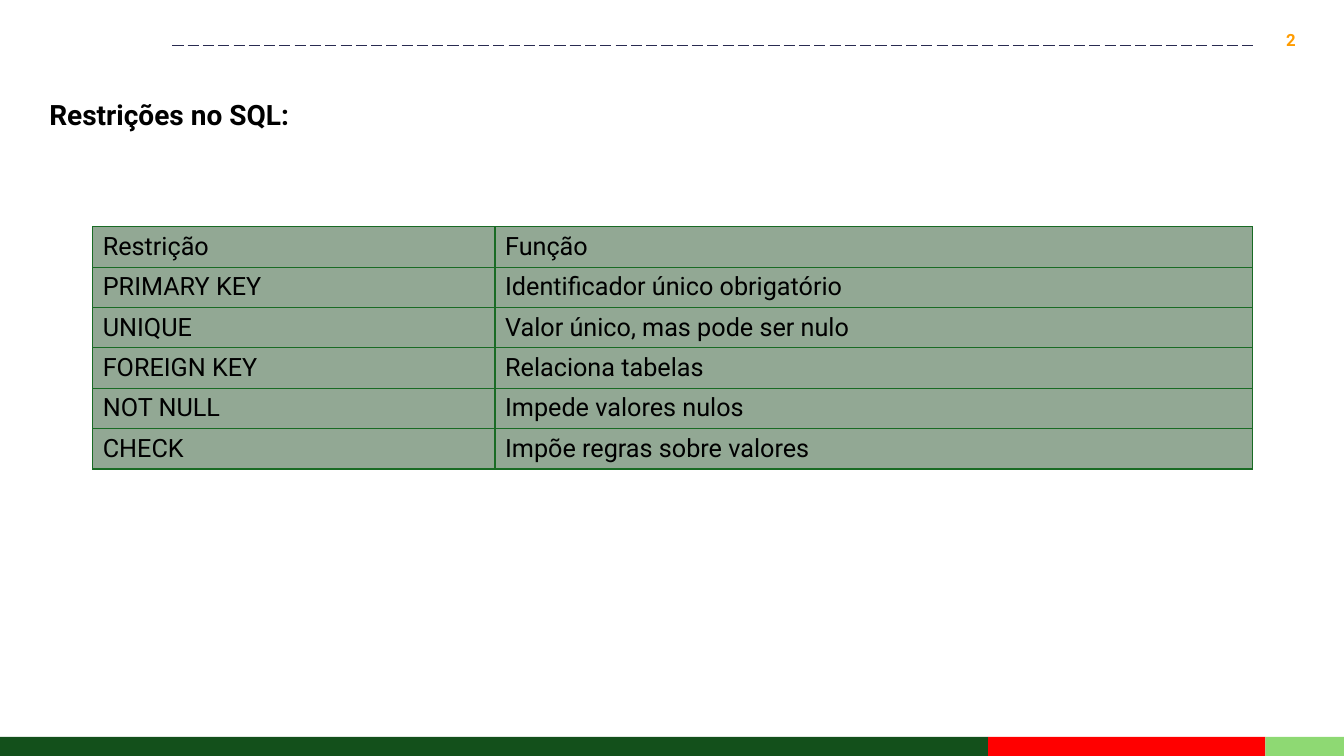
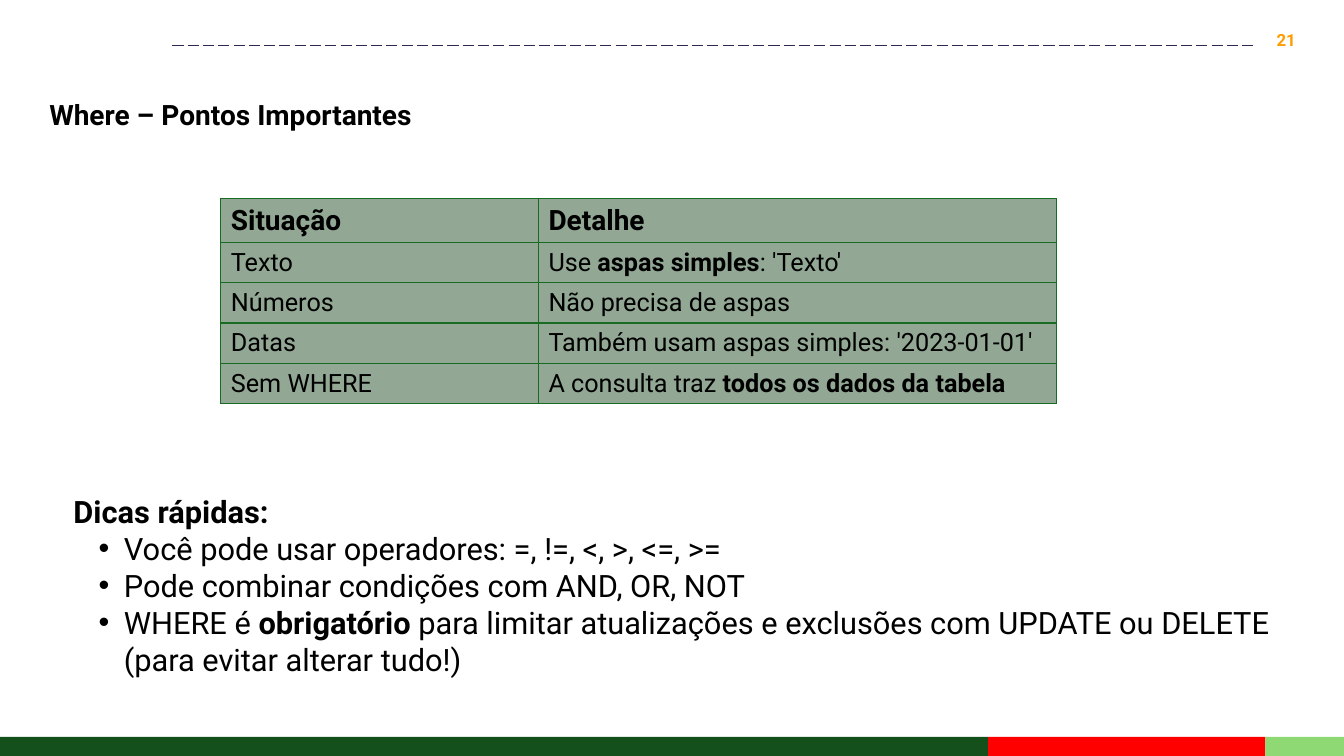
from lxml import etree
from pptx import Presentation
from pptx.dml.color import RGBColor
from pptx.enum.dml import MSO_LINE
from pptx.enum.shapes import MSO_CONNECTOR, MSO_SHAPE
from pptx.enum.text import MSO_ANCHOR, PP_ALIGN
from pptx.oxml.ns import qn
from pptx.util import Inches, Pt

RECT, STRAIGHT = MSO_SHAPE.RECTANGLE, MSO_CONNECTOR.STRAIGHT
LONG_DASH, MIDDLE, RIGHT = MSO_LINE.LONG_DASH, MSO_ANCHOR.MIDDLE, PP_ALIGN.RIGHT

FONT = "Roboto"
BLACK = RGBColor(0x00, 0x00, 0x00)
ORANGE = RGBColor(0xFF, 0x9C, 0x00)
NAVY = RGBColor(0x29, 0x2B, 0x51)
DARK_GREEN = RGBColor(0x13, 0x50, 0x1B)
RED = RGBColor(0xFF, 0x00, 0x00)
LIGHT_GREEN = RGBColor(0x8E, 0xD9, 0x73)
BORDER_GREEN = RGBColor(0x19, 0x6B, 0x24)
CELL_GREEN = RGBColor(0x92, 0xA8, 0x94)

SLIDE_W, SLIDE_H = 13.33, 7.5
BAND_H = 0.19
BANDS = [(9.8, DARK_GREEN), (2.75, RED), (0.78, LIGHT_GREEN)]
ROW_H, BOLD_ROW_H = 0.4, 0.43

# Text between ** marks is bold.
SLIDES = [
    {
        "number": "2",
        "title": "Restrições no SQL:",
        "table": {
            "at": (0.92, 2.25),
            "cols": (3.99, 7.51),
            "rows": [
                ("Restrição", "Função"),
                ("PRIMARY KEY", "Identificador único obrigatório"),
                ("UNIQUE", "Valor único, mas pode ser nulo"),
                ("FOREIGN KEY", "Relaciona tabelas"),
                ("NOT NULL", "Impede valores nulos"),
                ("CHECK", "Impõe regras sobre valores"),
            ],
        },
    },
    {
        "number": "21",
        "title": "Where – Pontos Importantes",
        "table": {
            "at": (2.19, 1.97),
            "cols": (3.15, 5.14),
            "bold_header": True,
            "rows": [
                ("Situação", "Detalhe"),
                ("Texto", "Use **aspas simples**: 'Texto'"),
                ("Números", "Não precisa de aspas"),
                ("Datas", "Também usam aspas simples: '2023-01-01'"),
                ("Sem WHERE", "A consulta traz **todos os dados da tabela**"),
            ],
        },
        "tips": {
            "heading": "Dicas rápidas:",
            "bullets": [
                "Você pode usar operadores: =, !=, <, >, <=, >=",
                "Pode combinar condições com AND, OR, NOT",
                "WHERE é **obrigatório** para limitar atualizações e exclusões "
                "com UPDATE ou DELETE (para evitar alterar tudo!)",
            ],
        },
    },
]


def write(p, text, size, color=BLACK, bold=False):
    """Fill a paragraph, turning **marked** parts bold."""
    for i, part in enumerate(text.split("**")):
        if part:
            r = p.add_run()
            r.text = part
            r.font.name, r.font.size = FONT, Pt(size)
            r.font.bold = bold or i % 2 == 1
            r.font.color.rgb = color


def add_text_frame(s, x, y, w, h):
    tf = s.shapes.add_textbox(Inches(x), Inches(y), Inches(w), Inches(h)).text_frame
    tf.word_wrap = True
    return tf


def add_frame(s, number, title):
    """Draw what every slide shares: bands, number, dashed rule and title."""
    x = 0
    for width, color in BANDS:
        band = s.shapes.add_shape(RECT, Inches(x), Inches(SLIDE_H - BAND_H),
                                  Inches(width), Inches(BAND_H))
        band.shadow.inherit = False
        band.fill.solid()
        band.fill.fore_color.rgb = color
        band.line.fill.background()
        x += width

    tf = add_text_frame(s, 12.44, 0.2, 0.51, 0.4)
    tf.vertical_anchor = MIDDLE
    tf.paragraphs[0].alignment = RIGHT
    write(tf.paragraphs[0], number, 12, ORANGE, bold=True)

    rule = s.shapes.add_connector(STRAIGHT, Inches(1.71), Inches(0.45),
                                  Inches(12.44), Inches(0.45))
    rule.line.color.rgb = NAVY
    rule.line.width = Pt(1)
    rule.line.dash_style = LONG_DASH
    etree.SubElement(rule._element.spPr, qn("a:effectLst"))

    p = add_text_frame(s, 0.39, 0.75, 7.89, 0.55).paragraphs[0]
    p.line_spacing = 1.5
    write(p, title, 20, bold=True)


def add_borders(cell):
    tc_pr = cell._tc.get_or_add_tcPr()
    for side in ("a:lnL", "a:lnR", "a:lnT", "a:lnB"):
        ln = etree.SubElement(tc_pr, qn(side), w=str(Pt(1)))
        fill = etree.SubElement(ln, qn("a:solidFill"))
        etree.SubElement(fill, qn("a:srgbClr"), val=str(BORDER_GREEN))


def add_grid(s, at, cols, rows, bold_header=False):
    heights = [ROW_H] * len(rows)
    if bold_header:
        heights[0] = BOLD_ROW_H
    table = s.shapes.add_table(len(rows), len(cols), Inches(at[0]), Inches(at[1]),
                               Inches(sum(cols)), Inches(sum(heights))).table
    table.first_row = bold_header
    table.horz_banding = False
    for column, width in zip(table.columns, cols):
        column.width = Inches(width)
    for i, (row, height, texts) in enumerate(zip(table.rows, heights, rows)):
        row.height = Inches(height)
        bold = bold_header and i == 0
        for cell, text in zip(row.cells, texts):
            add_borders(cell)
            cell.fill.solid()
            cell.fill.fore_color.rgb = CELL_GREEN
            cell.vertical_anchor = MIDDLE
            write(cell.text_frame.paragraphs[0], text, 20 if bold else 18, bold=bold)


def add_tips(s, heading, bullets):
    tf = add_text_frame(s, 0.63, 4.84, 12.08, 1.95)
    write(tf.paragraphs[0], heading, 22, bold=True)
    for text in bullets:
        p = tf.add_paragraph()
        p.level = 1
        p_pr = p._p.get_or_add_pPr()
        p_pr.set("marL", str(Inches(0.5)))
        p_pr.set("indent", str(-Inches(0.25)))
        etree.SubElement(p_pr, qn("a:buFont"), typeface="Arial")
        etree.SubElement(p_pr, qn("a:buChar"), char="•")
        write(p, text, 22)


def main():
    prs = Presentation()
    prs.slide_width, prs.slide_height = Inches(SLIDE_W), Inches(SLIDE_H)
    for content in SLIDES:
        s = prs.slides.add_slide(prs.slide_layouts[6])
        add_frame(s, content["number"], content["title"])
        add_grid(s, **content["table"])
        if "tips" in content:
            add_tips(s, **content["tips"])
    prs.save("out.pptx")


if __name__ == "__main__":
    main()
